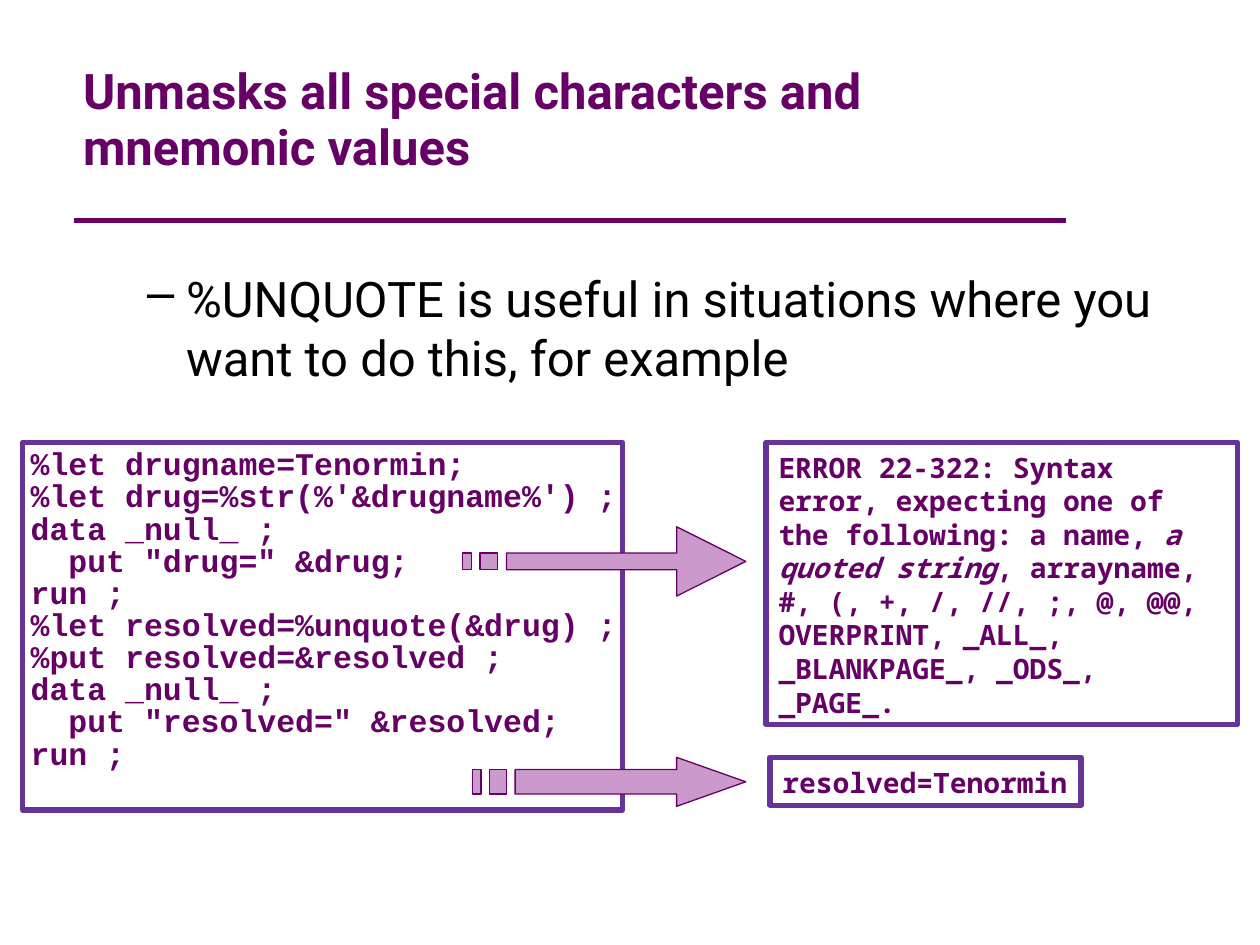
from pptx import Presentation
from pptx.dml.color import RGBColor
from pptx.enum.shapes import MSO_CONNECTOR, MSO_SHAPE
from pptx.enum.text import MSO_ANCHOR, PP_ALIGN
from pptx.oxml.ns import qn
from pptx.util import Pt
from lxml.etree import SubElement

PLUM = RGBColor(0x66, 0x00, 0x66)
VIOLET = RGBColor(0x66, 0x33, 0x99)
LILAC = RGBColor(0xCC, 0x99, 0xCC)
BLACK = RGBColor(0, 0, 0)
WHITE = RGBColor(0xFF, 0xFF, 0xFF)

# Content: each paragraph is a list of (text, italic) runs
TITLE = [[("Unmasks all special characters and mnemonic values", False)]]
BODY = [[("%UNQUOTE is useful in situations where you want to do this, for example", False)]]
CODE = """%let drugname=Tenormin;
%let drug=%str(%'&drugname%') ;
data _null_ ;
  put "drug=" &drug;
run ;
%let resolved=%unquote(&drug) ;
%put resolved=&resolved ;
data _null_ ;
  put "resolved=" &resolved;
run ;"""
CODE_LINES = [[(line, False)] for line in CODE.splitlines()]
ERROR = [[
    ("ERROR 22-322: Syntax error, expecting one of the following: a name, ", False),
    ("a quoted string", True),
    (", arrayname, #, (, +, /, //, ;, @, @@, OVERPRINT, _ALL_, "
     "_BLANKPAGE_, _ODS_, _PAGE_.", False),
]]
RESULT = [[("resolved=Tenormin", False)]]

# Boxes: paragraphs, (left, top, width, height), text format
LOG_FORMAT = dict(font="Noto Sans Mono", size=16, bold=True, margins=(7.2, 4.5))
BOXES = [
    (CODE_LINES, (13, 252.7, 342.7, 210.2),
     dict(font="Courier New", size=18, bold=True, margins=(4.5, 4.5),
          spacing=0.85, wrap=False)),
    (ERROR, (437.8, 252.7, 269.3, 161.3), LOG_FORMAT),
    (RESULT, (440, 432.7, 177.8, 27.4), dict(LOG_FORMAT, wrap=False)),
]
# Arrows: left, middle height, half head, half shaft
ARROWS = [(264.2, 320.8, 19.8, 4.8), (270, 446.8, 14, 7)]
ARROW_TIP = 426.2
HEAD_LENGTH = 39.5


def write_text(shape, paragraphs, font, size, color=PLUM, bold=False, margins=(7.2, 3.6),
               spacing=None, wrap=True, anchor=MSO_ANCHOR.TOP, bullet=None):
    frame = shape.text_frame
    frame.word_wrap = wrap
    frame.vertical_anchor = anchor
    frame.margin_left = frame.margin_right = Pt(margins[0])
    frame.margin_top = frame.margin_bottom = Pt(margins[1])
    for index, runs in enumerate(paragraphs):
        paragraph = frame.add_paragraph() if index else frame.paragraphs[0]
        paragraph.alignment = PP_ALIGN.LEFT
        if spacing:
            paragraph.line_spacing = spacing
        if bullet:
            properties = paragraph._p.get_or_add_pPr()
            properties.set("marL", str(Pt(58.3)))
            properties.set("indent", str(Pt(-22.3)))
            SubElement(properties, qn("a:buChar")).set("char", bullet)
        for text, italic in runs:
            run = paragraph.add_run()
            run.text = text
            run.font.name = font
            run.font.size = Pt(size)
            run.font.bold = bold
            run.font.italic = italic
            run.font.color.rgb = color


def paint(shape, fill, line, width):
    shape.shadow.inherit = False
    shape.fill.solid()
    shape.fill.fore_color.rgb = fill
    shape.line.color.rgb = line
    shape.line.width = Pt(width)


def place(shape, left, top, width, height):
    shape.left, shape.top = Pt(left), Pt(top)
    shape.width, shape.height = Pt(width), Pt(height)


def add_striped_arrow(shapes, left, middle, half_head, half_shaft):
    unit = (ARROW_TIP - left) / 32
    neck = ARROW_TIP - HEAD_LENGTH
    top, bottom = middle - half_shaft, middle + half_shaft
    shaft = left + 5 * unit
    outlines = [[(shaft, top), (neck, top), (neck, middle - half_head), (ARROW_TIP, middle),
                 (neck, middle + half_head), (neck, bottom), (shaft, bottom)]]
    for start, end in ((0, 1), (2, 4)):
        x1, x2 = left + start * unit, left + end * unit
        outlines.append([(x1, top), (x2, top), (x2, bottom), (x1, bottom)])
    builder = None
    for outline in outlines:
        points = [(Pt(x), Pt(y)) for x, y in outline]
        if builder is None:
            builder = shapes.build_freeform(*points[0])
        else:
            builder.move_to(*points[0])
        builder.add_line_segments(points[1:], close=True)
    paint(builder.convert_to_shape(), LILAC, PLUM, 0.75)


def main():
    presentation = Presentation()
    presentation.slide_width, presentation.slide_height = Pt(720), Pt(540)
    slide = presentation.slides.add_slide(presentation.slide_layouts[5])
    shapes = slide.shapes

    # Title and the rule below it
    place(shapes.title, 40.3, 30.2, 464.4, 77.8)
    write_text(shapes.title, TITLE, font="Roboto", size=28, bold=True,
               spacing=0.95, anchor=MSO_ANCHOR.MIDDLE)
    rule = shapes.add_connector(MSO_CONNECTOR.STRAIGHT, Pt(42.5), Pt(126), Pt(609), Pt(126))
    rule.line.color.rgb = PLUM
    rule.line.width = Pt(3)
    SubElement(rule._element.spPr, qn("a:effectLst"))

    # Bulleted statement
    body = shapes.add_textbox(Pt(41), Pt(149.8), Pt(626.4), Pt(85.7))
    write_text(body, BODY, font="Roboto", size=28, color=BLACK, bullet="–")

    # Code and log boxes
    for paragraphs, position, text_format in BOXES:
        box = shapes.add_shape(MSO_SHAPE.RECTANGLE, *map(Pt, position))
        paint(box, WHITE, VIOLET, 3)
        write_text(box, paragraphs, **text_format)

    # Arrows from code to log
    for arrow in ARROWS:
        add_striped_arrow(shapes, *arrow)

    presentation.save("out.pptx")


if __name__ == "__main__":
    main()
